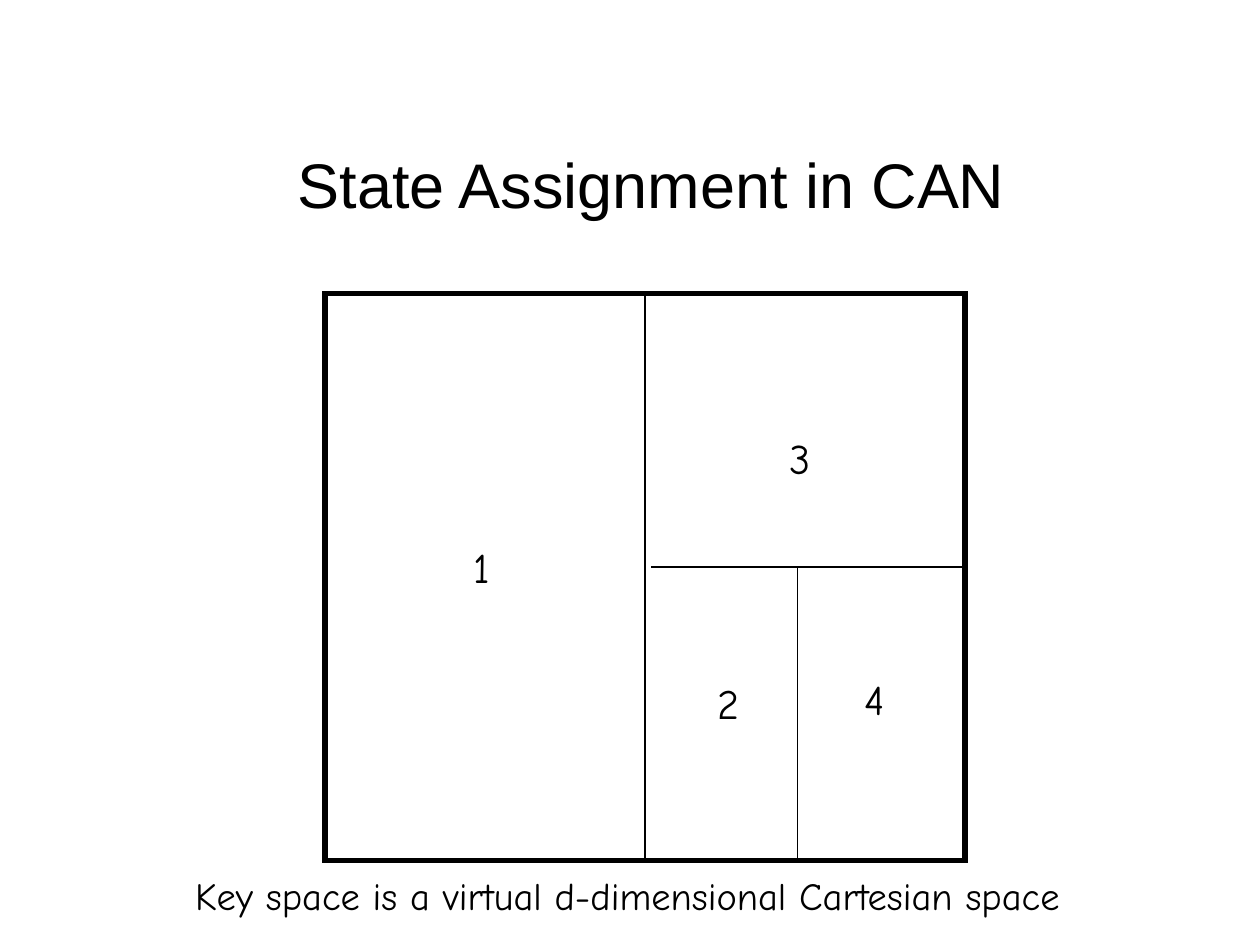
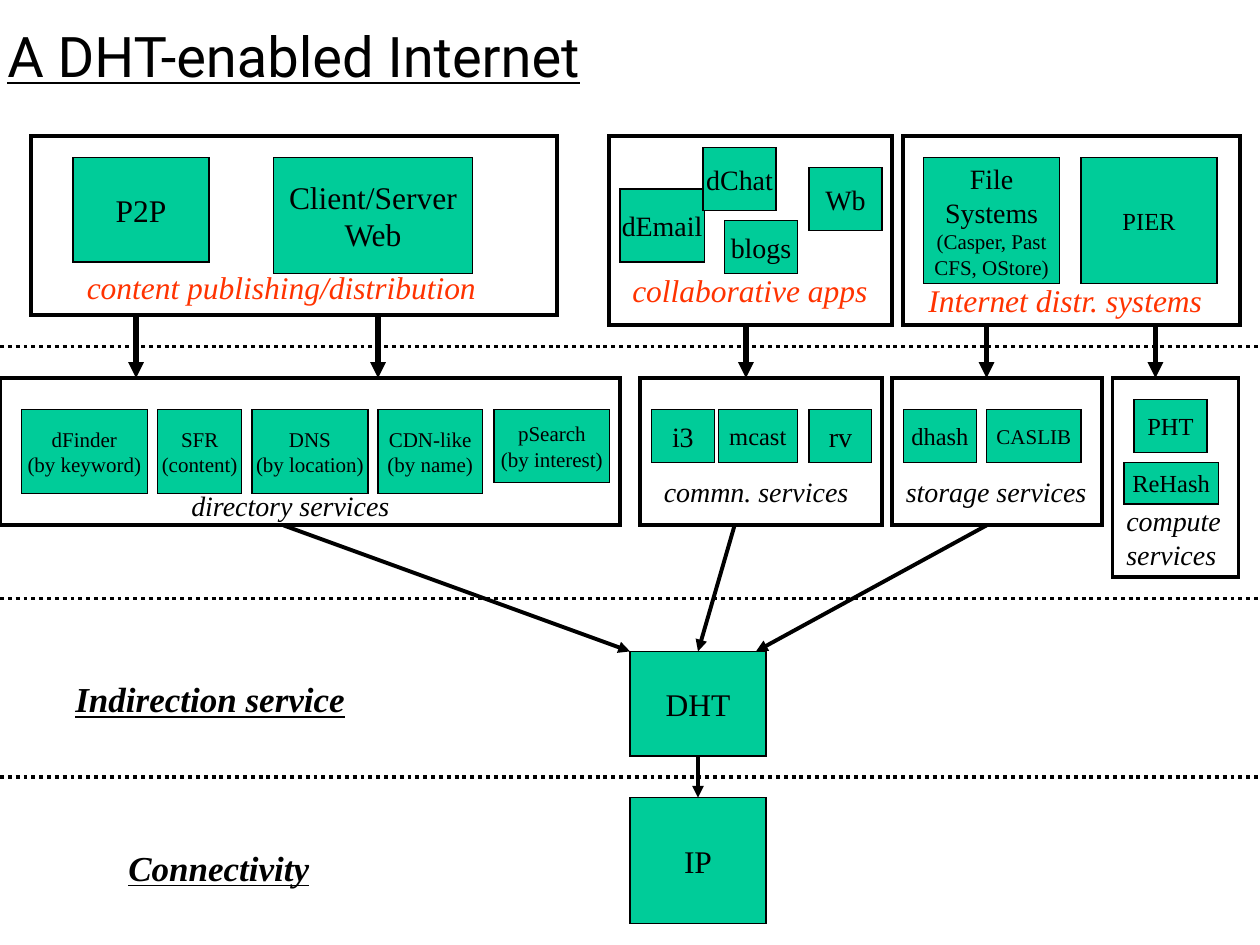
from lxml import etree
from pptx import Presentation
from pptx.dml.color import RGBColor
from pptx.enum.dml import MSO_LINE
from pptx.enum.shapes import MSO_CONNECTOR, MSO_SHAPE
from pptx.enum.text import MSO_ANCHOR, MSO_AUTO_SIZE, PP_ALIGN
from pptx.oxml.ns import qn
from pptx.util import Inches, Pt

BLACK = RGBColor(0x00, 0x00, 0x00)
GREEN = RGBColor(0x00, 0xCC, 0x99)
ORANGE = RGBColor(0xFF, 0x33, 0x00)

SERIF = "Times New Roman"
HAND = "Comic Neue"
RECTANGLE = MSO_SHAPE.RECTANGLE
STRAIGHT = MSO_CONNECTOR.STRAIGHT
DOTTED = MSO_LINE.ROUND_DOT
LEFT, CENTER = PP_ALIGN.LEFT, PP_ALIGN.CENTER
TOP, MIDDLE = MSO_ANCHOR.TOP, MSO_ANCHOR.MIDDLE
GROW = MSO_AUTO_SIZE.SHAPE_TO_FIT_TEXT
SIDE_TOP, SIDE_BOTTOM = 0, 2


def write(shape, text, size=16, font=SERIF, color=BLACK, bold=False, italic=False,
          underline=False, align=LEFT, anchor=TOP, wrap=False, detail_size=None):
    """Fill a shape, one paragraph a line; detail_size is for those after the first."""
    frame = shape.text_frame
    frame.word_wrap = wrap
    frame.vertical_anchor = anchor
    for index, line in enumerate(text.split("\n")):
        paragraph = frame.add_paragraph() if index else frame.paragraphs[0]
        paragraph.text = line
        paragraph.alignment = align
        style = paragraph.font
        style.name = font
        style.size = Pt(detail_size if index and detail_size else size)
        style.color.rgb = color
        style.bold, style.italic, style.underline = bold, italic, underline


def add_frame(slide, box, weight=2.25):
    """Outlined rectangle with sharp corners and no fill."""
    frame = slide.shapes.add_shape(RECTANGLE, *map(Inches, box))
    frame.shadow.inherit = False
    frame.fill.background()
    frame.line.color.rgb = BLACK
    frame.line.width = Pt(weight)
    etree.SubElement(frame.line._get_or_add_ln(), qn("a:miter"), lim="800000")
    return frame


def add_tile(slide, box, text, size, **style):
    """Green rectangle with centred text."""
    tile = add_frame(slide, box, 0.75)
    tile.fill.solid()
    tile.fill.fore_color.rgb = GREEN
    write(tile, text, size, align=CENTER, anchor=MIDDLE, **style)
    return tile


def add_label(slide, box, text, size, **style):
    label = slide.shapes.add_textbox(*map(Inches, box))
    write(label, text, size, **style)
    if not style.get("wrap"):
        label.text_frame.auto_size = GROW


def add_line(slide, start, end, weight=0.75, arrow=False, dash=None):
    line = slide.shapes.add_connector(STRAIGHT, *map(Inches, (*start, *end)))
    line.line.color.rgb = BLACK
    line.line.width = Pt(weight)
    if dash:
        line.line.dash_style = dash
    if arrow:
        etree.SubElement(line.line._get_or_add_ln(), qn("a:tailEnd"), type="triangle")
    etree.SubElement(line._element.spPr, qn("a:effectLst"))
    return line


def build_state_assignment(slide):
    add_label(slide, (0.92, 0.83, 8.5, 1.25), "State Assignment in CAN", 36,
              font="Arial", align=CENTER, anchor=MIDDLE, wrap=True)

    key_space = add_frame(slide, (2.58, 2.33, 5.08, 4.5), 3)
    halves = add_line(slide, (5.12, 2.33), (5.12, 6.83))
    halves.begin_connect(key_space, SIDE_TOP)
    halves.end_connect(key_space, SIDE_BOTTOM)
    add_line(slide, (5.17, 4.5), (7.67, 4.5))
    add_line(slide, (6.33, 4.5), (6.33, 6.83))

    zones = [("1", 3.66, 4.25, 0.33), ("2", 5.6, 5.33, 0.37),
             ("3", 6.17, 3.38, 0.37), ("4", 6.76, 5.3, 0.36)]
    for number, left, top, width in zones:
        add_label(slide, (left, top, width, 0.5), number, 24, font=HAND)
    add_label(slide, (1.45, 6.87, 7.07, 0.47),
              "Key space is a virtual d-dimensional Cartesian space", 22, font=HAND)


def add_applications(slide):
    groups = [
        ((0.25, 1.08, 4.17, 1.42), "content publishing/distribution", (0.59, 2.08, 3.29, 0.4)),
        ((4.83, 1.08, 2.25, 1.5), "collaborative apps", (4.92, 2.1, 2.07, 0.4)),
        ((7.17, 1.08, 2.67, 1.5), "Internet distr. systems", (7.27, 2.18, 2.4, 0.4)),
    ]
    for frame_box, caption, caption_box in groups:
        add_frame(slide, frame_box)
        add_label(slide, caption_box, caption, 18, color=ORANGE, italic=True)

    applications = [
        ((0.58, 1.25, 1.08, 0.83), "P2P", 18),
        ((2.17, 1.25, 1.58, 0.92), "Client/Server\nWeb", 18),
        ((4.92, 1.5, 0.67, 0.58), "dEmail", 16),
        ((5.58, 1.17, 0.58, 0.5), "dChat", 16),
        ((5.75, 1.75, 0.58, 0.42), "blogs", 16),
        ((6.42, 1.33, 0.58, 0.5), "Wb", 16),
        ((8.58, 1.25, 1.08, 1), "PIER", 14),
    ]
    for box, name, size in applications:
        add_tile(slide, box, name, size)
    add_tile(slide, (7.33, 1.25, 1.08, 1),
             "File\vSystems\n(Casper, Past\nCFS, OStore)", 16, detail_size=12)


def add_services(slide):
    groups = [
        (0, 4.92, 1.17, "directory services", (1.42, 3.83, 1.8, 0.37)),
        (5.08, 1.92, 1.17, "commn. services", (5.17, 3.72, 1.75, 0.37)),
        (7.08, 1.67, 1.17, "storage services", (7.09, 3.72, 1.75, 0.37)),
        (8.83, 1, 1.58, "compute\nservices", (8.84, 3.95, 0.95, 0.64)),
    ]
    for left, width, height, caption, caption_box in groups:
        add_frame(slide, (left, 3, width, height))
        add_label(slide, caption_box, caption, 16, italic=True)

    row_services = [
        (0.17, 1, 0.67, "dFinder\n(by keyword)", 12),
        (1.25, 0.67, 0.67, "SFR\n(content)", 12),
        (2, 0.92, 0.67, "DNS\n(by location)", 12),
        (3, 0.83, 0.67, "CDN-like\n(by name)", 12),
        (3.92, 0.92, 0.58, "pSearch\n(by interest)", 12),
        (5.17, 0.5, 0.42, "i3", 16),
        (5.7, 0.63, 0.42, "mcast", 14),
        (6.42, 0.5, 0.42, "rv", 16),
        (7.17, 0.58, 0.42, "dhash", 14),
        (7.83, 0.75, 0.42, "CASLIB", 12),
    ]
    for left, width, height, name, size in row_services:
        add_tile(slide, (left, 3.25, width, height), name, size)
    add_tile(slide, (9, 3.17, 0.58, 0.42), "PHT", 14)
    add_tile(slide, (8.92, 3.67, 0.75, 0.33), "ReHash", 14)


def build_dht_internet(slide):
    add_label(slide, (-0.04, 0.12, 5.16, 0.64), "A DHT-enabled Internet", 32,
              font="Roboto", underline=True)
    add_applications(slide)
    add_services(slide)
    dht = add_tile(slide, (5, 5.17, 1.08, 0.83), "DHT", 18)
    ip = add_tile(slide, (5, 6.33, 1.08, 1), "IP", 18)

    for x, top in [(1.08, 2.5), (3, 2.5), (5.92, 2.58), (7.83, 2.58), (9.17, 2.58)]:
        add_line(slide, (x, top), (x, 3), 3, arrow=True)
    add_line(slide, (2.25, 4.17), (5, 5.17), 2.25, arrow=True)
    add_line(slide, (7.83, 4.17), (6, 5.17), 2.25, arrow=True)
    communication = add_line(slide, (5.83, 4.17), (5.54, 5.17), 2.25, arrow=True)
    communication.end_connect(dht, SIDE_TOP)
    routing = add_line(slide, (5.54, 6), (5.54, 6.33), 2.25, arrow=True)
    routing.begin_connect(dht, SIDE_BOTTOM)
    routing.end_connect(ip, SIDE_TOP)

    for y in (2.75, 4.75, 6.17):
        add_line(slide, (0, y), (10, y), 2.25, dash=DOTTED)
    layers = [("Indirection service", (0.5, 5.33, 2.34, 0.44)),
              ("Connectivity", (0.92, 6.67, 1.64, 0.44))]
    for layer, box in layers:
        add_label(slide, box, layer, 20, bold=True, italic=True, underline=True)


def main():
    deck = Presentation()
    deck.slide_width, deck.slide_height = Inches(10), Inches(7.5)
    blank = deck.slide_layouts[6]
    for build in (build_state_assignment, build_dht_internet):
        build(deck.slides.add_slide(blank))
    deck.save("out.pptx")


if __name__ == "__main__":
    main()
